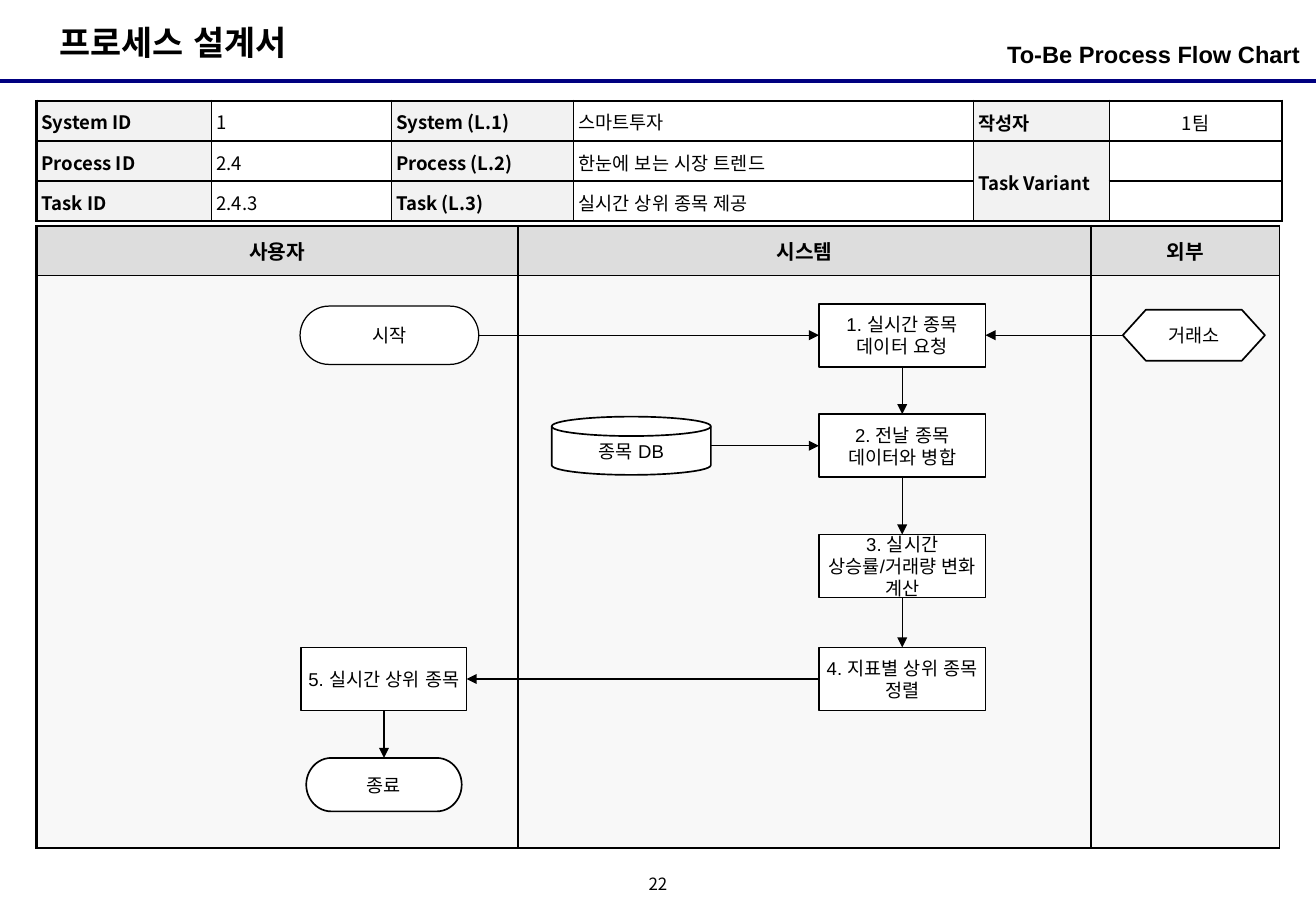
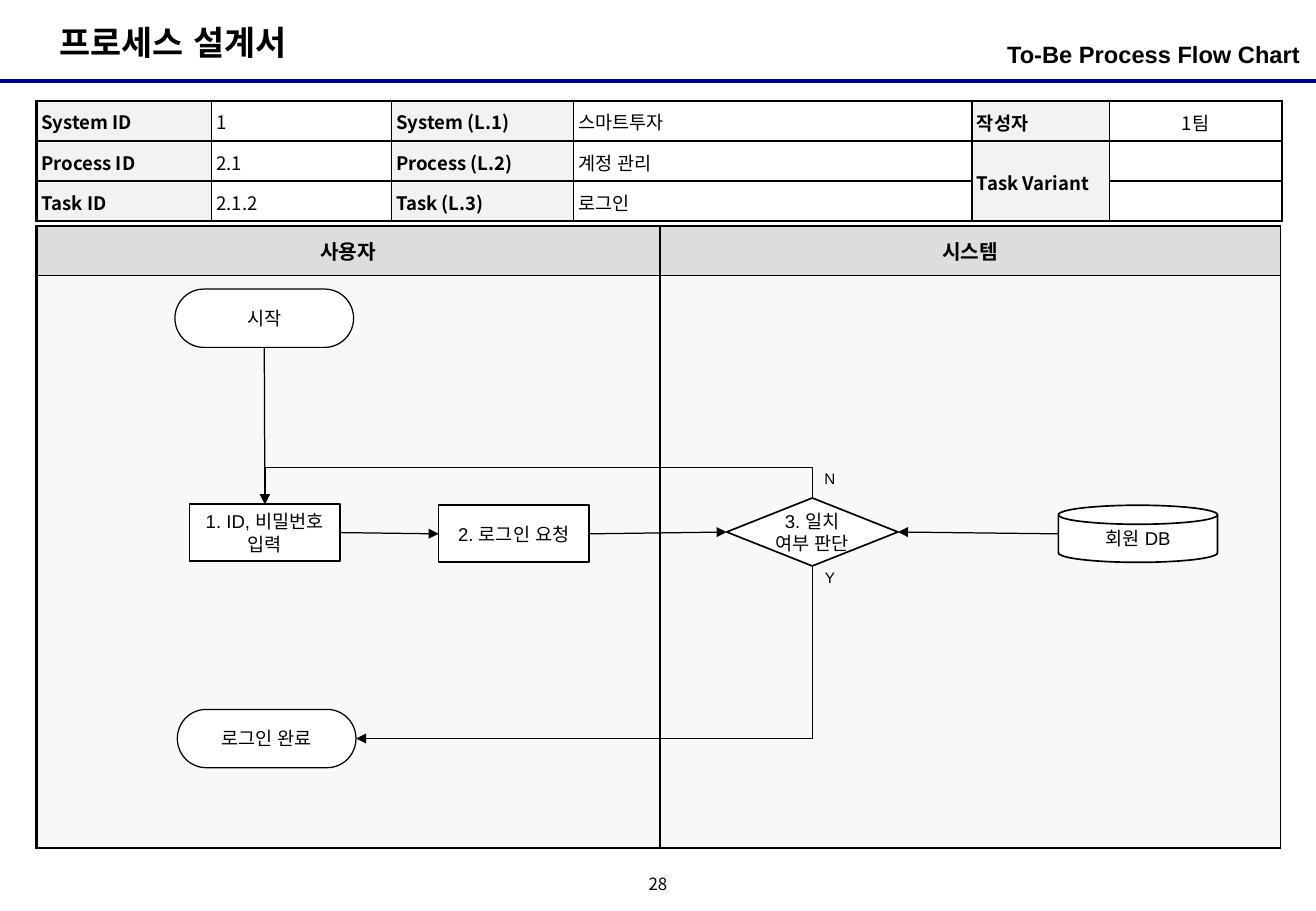
from dataclasses import dataclass
from typing import Any, Sequence

from lxml import etree
from pptx import Presentation
from pptx import util as u
from pptx.dml import color
from pptx.enum import lang, shapes, text
from pptx.oxml import ns

COLORS = {"ink": "000000", "rule": "000080", "paper": "FFFFFF",
          "label": "F2F2F2", "lane_head": "DDDDDD", "lane": "F8F8F8"}
LATIN, KOREAN = "Arial", "Noto Sans CJK KR"
KINDS = shapes.MSO_SHAPE
STEP, TERMINAL, CHOICE = KINDS.RECTANGLE, KINDS.FLOWCHART_TERMINATOR, KINDS.FLOWCHART_DECISION
STORE, OUTSIDE = KINDS.FLOWCHART_MAGNETIC_DISK, KINDS.HEXAGON
INSETS = {STEP: (0.01, 0), CHOICE: (0.02, 0), TERMINAL: (0.1, 0.1),
          STORE: (0.04, 0), OUTSIDE: (0.04, 0.04)}
TOP, LEFT, BOTTOM, RIGHT = range(4)
LABEL_COLUMNS = (0, 2, 4)
CENTER = text.PP_ALIGN.CENTER
MIDDLE = text.MSO_ANCHOR.MIDDLE


@dataclass(frozen=True)
class Node:
    label: str
    kind: Any
    left: float
    top: float
    width: float
    height: float
    line: float = 1

    def site(self, side: int) -> tuple[float, float]:
        """Return the middle of one side."""
        return (self.left + {LEFT: 0, RIGHT: self.width}.get(side, self.width / 2),
                self.top + {TOP: 0, BOTTOM: self.height}.get(side, self.height / 2))


@dataclass(frozen=True)
class Arrow:
    start: str
    start_side: int
    end: str
    end_side: int
    bend: str = ""
    rise: float = 0


@dataclass(frozen=True)
class Caption:
    label: str
    left: float
    top: float


@dataclass(frozen=True)
class Process:
    page: str
    ids: Sequence[str]
    names: Sequence[str]
    info_widths: Sequence[float]
    lanes: dict[str, float]
    nodes: dict[str, Node]
    arrows: Sequence[Arrow]
    captions: Sequence[Caption] = ()


def rgb(name: str) -> color.RGBColor:
    """Look up a colour."""
    return color.RGBColor.from_string(COLORS[name])


def write(paragraph: Any, words: str, size: float, bold: bool = False,
          font: str = LATIN, align: Any = None, spacing: float | None = None) -> None:
    """Add one kerned run to a paragraph."""
    paragraph.alignment = align
    paragraph.line_spacing = spacing
    run = paragraph.add_run()
    run.text = words
    run.font.size, run.font.bold, run.font.name = u.Pt(size), bold, font
    run.font.color.rgb = rgb("ink")
    run.font.language_id = lang.MSO_LANGUAGE_ID.KOREAN
    run.font._element.set("kern", "800")
    east_asian = etree.SubElement(run.font._element, ns.qn("a:ea"))
    east_asian.set("typeface", KOREAN)


def set_insets(frame: Any, across: float, down: float) -> None:
    """Set the margins of a text frame or a cell."""
    frame.margin_left = frame.margin_right = u.Inches(across)
    frame.margin_top = frame.margin_bottom = u.Inches(down)


def add_label(slide: Any, box: Sequence[float], words: str, size: float,
              insets: tuple[float, float] = (0.1, 0.05),
              anchor: Any = text.MSO_ANCHOR.TOP, **style: Any) -> None:
    """Add a text box."""
    frame = slide.shapes.add_textbox(*map(u.Inches, box)).text_frame
    frame.word_wrap = True
    frame.vertical_anchor = anchor
    set_insets(frame, *insets)
    write(frame.paragraphs[0], words, size, **style)


def add_line(slide: Any, start: tuple[float, float], end: tuple[float, float],
             width: float, hue: str, kind: Any = shapes.MSO_CONNECTOR.STRAIGHT) -> Any:
    """Add a connector without a shadow."""
    line = slide.shapes.add_connector(kind, *map(u.Inches, (*start, *end)))
    line.line.width = u.Pt(width)
    line.line.color.rgb = rgb(hue)
    etree.SubElement(line._element.spPr, ns.qn("a:effectLst"))
    return line


def set_borders(cell: Any, widths: Sequence[float]) -> None:
    """Draw the left, right, top and bottom border of a cell."""
    properties = cell._tc.get_or_add_tcPr()
    for index, (side, width) in enumerate(zip("LRTB", widths)):
        border = etree.Element(ns.qn(f"a:ln{side}"), w=str(u.Pt(width)))
        fill = etree.SubElement(border, ns.qn("a:solidFill"))
        etree.SubElement(fill, ns.qn("a:srgbClr"), val=COLORS["ink"])
        properties.insert(index, border)


def add_grid(slide: Any, top: float, widths: Sequence[float], heights: Sequence[float]) -> Any:
    """Add a plain table with the given columns and rows."""
    table = slide.shapes.add_table(
        len(heights), len(widths), u.Inches(0.3), u.Inches(top),
        u.Inches(sum(widths)), u.Inches(sum(heights))).table
    table.first_row = table.horz_banding = False
    for column, width in zip(table.columns, widths):
        column.width = u.Inches(width)
    for row, height in zip(table.rows, heights):
        row.height = u.Inches(height)
    return table


def fill_cell(cell: Any, hue: str) -> None:
    """Give a cell a solid fill."""
    cell.fill.solid()
    cell.fill.fore_color.rgb = rgb(hue)


def add_info(slide: Any, process: Process) -> None:
    """Add the table that identifies the process."""
    rows = [*zip(("System ID", "Process ID", "Task ID"), process.ids,
                 ("System (L.1)", "Process (L.2)", "Task (L.3)"), process.names,
                 ("작성자", "Task Variant", ""), ("1팀", "", ""))]
    table = add_grid(slide, 0.83, process.info_widths, [0.33] * len(rows))
    table.cell(1, 4).merge(table.cell(2, 4))
    for r, row in enumerate(rows):
        for c, words in enumerate(row):
            cell = table.cell(r, c)
            labelled = c in LABEL_COLUMNS
            set_insets(cell, 0.04, 0.04)
            fill_cell(cell, "label" if labelled else "paper")
            edges = (c == 0, c == len(row) - 1, r == 0, r == len(rows) - 1)
            set_borders(cell, [1.5 if edge else 1 for edge in edges])
            paragraph = cell.text_frame.paragraphs[0]
            if c >= 4:
                cell.vertical_anchor = MIDDLE
            if words:
                write(paragraph, words, 11, labelled, KOREAN, CENTER if c == 5 else None, 1.1)
            else:
                paragraph._p.get_or_add_endParaRPr().set("sz", "1100")


def add_lanes(slide: Any, lanes: dict[str, float]) -> None:
    """Add the swimlanes with their headings."""
    table = add_grid(slide, 1.86, list(lanes.values()), (0.41, 4.71))
    for c, name in enumerate(lanes):
        right = 0.75 if c == len(lanes) - 1 else 1.5
        head, body = table.cell(0, c), table.cell(1, c)
        fill_cell(head, "lane_head")
        fill_cell(body, "lane")
        set_borders(head, (1.5, right, 1.5, 0.75))
        set_borders(body, (1.5, right, 0.75, 1.5))
        head.vertical_anchor = MIDDLE
        write(head.text_frame.paragraphs[0], name, 12, True, align=CENTER)


def add_node(slide: Any, node: Node) -> Any:
    """Add one flow chart shape."""
    box = map(u.Inches, (node.left, node.top, node.width, node.height))
    shape = slide.shapes.add_shape(node.kind, *box)
    shape.shadow.inherit = False
    if node.kind == OUTSIDE:
        shape.adjustments[0] = 0.453
    shape.fill.solid()
    shape.fill.fore_color.rgb = rgb("paper")
    shape.line.color.rgb = rgb("ink")
    shape.line.width = u.Pt(node.line)
    frame = shape.text_frame
    frame.word_wrap = True
    frame.vertical_anchor = MIDDLE
    set_insets(frame, *INSETS[node.kind])
    write(frame.paragraphs[0], node.label, 11, align=CENTER)
    return shape


def bend_line(line: Any, arrow: Arrow, start: tuple[float, float], end: tuple[float, float]) -> None:
    """Turn an elbow so that it leaves its start vertically."""
    (x1, y1), (x2, y2) = start, end
    width, height = abs(y2 - y1), abs(x2 - x1)
    line.left = u.Inches((x1 + x2 - width) / 2)
    line.top = u.Inches((y1 + y2 - height) / 2)
    line.width, line.height = u.Inches(width), u.Inches(height)
    transform = line._element.spPr.find(ns.qn("a:xfrm"))
    transform.attrib.pop("flipH", None)
    transform.set("rot", "5400000")
    geometry = line._element.spPr.find(ns.qn("a:prstGeom"))
    geometry.set("prst", arrow.bend)
    if arrow.rise:
        guides = geometry.find(ns.qn("a:avLst"))
        ratio = round(-arrow.rise / width * 100000)
        etree.SubElement(guides, ns.qn("a:gd"), name="adj1", fmla=f"val {ratio}")


def add_arrow(slide: Any, arrow: Arrow, nodes: dict[str, Node], drawn: dict[str, Any]) -> None:
    """Join two nodes with an arrow."""
    start = nodes[arrow.start].site(arrow.start_side)
    end = nodes[arrow.end].site(arrow.end_side)
    kind = shapes.MSO_CONNECTOR.ELBOW if arrow.bend else shapes.MSO_CONNECTOR.STRAIGHT
    line = add_line(slide, start, end, 0.75, "ink", kind)
    etree.SubElement(line.line._get_or_add_ln(), ns.qn("a:tailEnd"), type="triangle")
    if nodes[arrow.start].kind not in (STORE, OUTSIDE):
        line.begin_connect(drawn[arrow.start], arrow.start_side)
    line.end_connect(drawn[arrow.end], arrow.end_side)
    if arrow.bend:
        bend_line(line, arrow, start, end)


def add_process(deck: Any, process: Process) -> None:
    """Build one process slide."""
    slide = deck.slides.add_slide(deck.slide_layouts[6])
    add_line(slide, (0, 0.67), (10.83, 0.67), 2.25, "rule")
    add_label(slide, (0.39, 0.13, 2.26, 0.44), "프로세스 설계서", 20, bold=True)
    add_label(slide, (5.25, 7.17, 0.33, 0.25), process.page, 10, (0, 0), MIDDLE,
              font=KOREAN, align=CENTER, spacing=0.8)
    add_lanes(slide, process.lanes)
    add_label(slide, (7.39, 0.28, 3.31, 0.39), "To-Be Process Flow Chart", 14, (0, 0.05),
              bold=True, align=text.PP_ALIGN.RIGHT)
    add_info(slide, process)
    drawn = {key: add_node(slide, node) for key, node in process.nodes.items()}
    for arrow in process.arrows:
        add_arrow(slide, arrow, process.nodes, drawn)
    for caption in process.captions:
        add_label(slide, (caption.left, caption.top, 0.3, 0.25), caption.label, 9,
                  anchor=MIDDLE, align=CENTER)


PROCESSES = (
    Process(
        "22", ("1", "2.4", "2.4.3"), ("스마트투자", "한눈에 보는 시장 트렌드", "실시간 상위 종목 제공"),
        (1.44, 1.48, 1.5, 3.29, 1.12, 1.42), {"사용자": 3.96, "시스템": 4.72, "외부": 1.55},
        {"start": Node("시작", TERMINAL, 2.47, 2.52, 1.47, 0.48, 0.75),
         "request": Node("1. 실시간 종목 데이터 요청", STEP, 6.74, 2.5, 1.37, 0.52),
         "exchange": Node("거래소", OUTSIDE, 9.24, 2.55, 1.17, 0.42),
         "merge": Node("2. 전날 종목 데이터와 병합", STEP, 6.74, 3.41, 1.37, 0.52),
         "stocks": Node("종목 DB", STORE, 4.54, 3.43, 1.31, 0.48),
         "compute": Node("3. 실시간 상승률/거래량 변화 계산", STEP, 6.74, 4.4, 1.37, 0.52),
         "sort": Node("4. 지표별 상위 종목 정렬", STEP, 6.74, 5.33, 1.37, 0.52),
         "show": Node("5. 실시간 상위 종목", STEP, 2.48, 5.33, 1.36, 0.52),
         "finish": Node("종료", TERMINAL, 2.52, 6.24, 1.28, 0.44)},
        (Arrow("start", RIGHT, "request", LEFT), Arrow("exchange", LEFT, "request", RIGHT),
         Arrow("request", BOTTOM, "merge", TOP), Arrow("stocks", RIGHT, "merge", LEFT),
         Arrow("merge", BOTTOM, "compute", TOP), Arrow("compute", BOTTOM, "sort", TOP),
         Arrow("sort", LEFT, "show", RIGHT), Arrow("show", BOTTOM, "finish", TOP))),
    Process(
        "28", ("1", "2.1", "2.1.2"), ("스마트투자", "계정 관리", "로그인"),
        (1.44, 1.48, 1.5, 3.28, 1.13, 1.42), {"사용자": 5.13, "시스템": 5.11},
        {"start": Node("시작", TERMINAL, 1.44, 2.38, 1.47, 0.48, 0.75),
         "enter": Node("1. ID, 비밀번호 입력", STEP, 1.56, 4.15, 1.24, 0.47),
         "request": Node("2. 로그인 요청", STEP, 3.61, 4.16, 1.24, 0.47),
         "match": Node("3. 일치 여부 판단", CHOICE, 5.98, 4.1, 1.41, 0.56),
         "members": Node("회원 DB", STORE, 8.71, 4.16, 1.31, 0.47),
         "finish": Node("로그인 완료", TERMINAL, 1.46, 5.84, 1.47, 0.48, 0.75)},
        (Arrow("start", BOTTOM, "enter", TOP), Arrow("enter", RIGHT, "request", LEFT),
         Arrow("request", RIGHT, "match", LEFT), Arrow("members", LEFT, "match", RIGHT),
         Arrow("match", TOP, "enter", TOP, "bentConnector3", 0.25),
         Arrow("match", BOTTOM, "finish", RIGHT, "bentConnector2")),
        (Caption("Y", 6.68, 4.63), Caption("N", 6.68, 3.81))),
)


def main() -> None:
    """Build and save the deck."""
    deck = Presentation()
    deck.slide_width, deck.slide_height = u.Inches(10.83), u.Inches(7.5)
    for process in PROCESSES:
        add_process(deck, process)
    deck.save("out.pptx")


if __name__ == "__main__":
    main()
